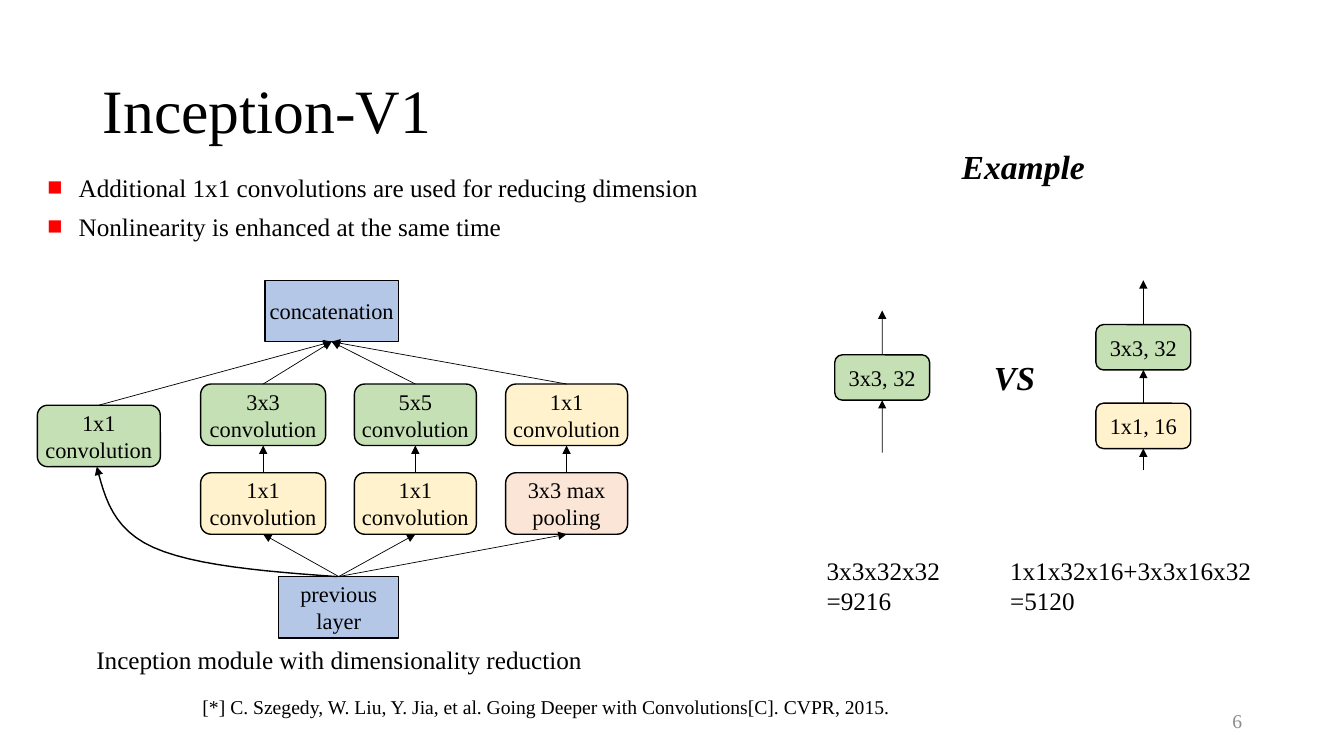
"""Build the Inception-V1 slide: module diagram, bullets and a cost example."""
from lxml.etree import SubElement
from pptx import Presentation
from pptx.dml.color import RGBColor
from pptx.enum.shapes import MSO_CONNECTOR, MSO_SHAPE
from pptx.enum.text import MSO_ANCHOR, MSO_AUTO_SIZE, PP_ALIGN
from pptx.oxml.ns import qn
from pptx.util import Inches, Pt

FONT = "Times New Roman"
BLACK = RGBColor(0x00, 0x00, 0x00)
GREY = RGBColor(0x8C, 0x8C, 0x8C)
BLUE = RGBColor(0xB4, 0xC7, 0xE7)
GREEN = RGBColor(0xC5, 0xE0, 0xB4)
YELLOW = RGBColor(0xFF, 0xF2, 0xCC)
PEACH = RGBColor(0xFB, 0xE5, 0xD6)
BULLET_RED = "FF0000"

TITLE = "Inception-V1"
BULLETS = [
    "Additional 1x1 convolutions are used for reducing dimension",
    "Nonlinearity is enhanced at the same time",
]

COLUMNS = [0.98, 2.61, 4.12, 5.62]
ROWS = {"concat": 2.78, "convolve": 3.81, "direct": 4.02, "reduce": 4.69, "input": 5.72}
SINGLE, STACKED = 8.75, 11.34
LAYER, STEP = 0.61, 0.45
ROUND, SQUARE = MSO_SHAPE.ROUNDED_RECTANGLE, MSO_SHAPE.RECTANGLE

# name: (text, centre, top, width, height, fill, shape)
BOXES = {
    "previous": ("previous layer", 3.36, ROWS["input"], 1.19, LAYER, BLUE, SQUARE),
    "reduce 3x3": ("1x1 convolution", COLUMNS[1], ROWS["reduce"], 1.24, LAYER, YELLOW, ROUND),
    "reduce 5x5": ("1x1 convolution", COLUMNS[2], ROWS["reduce"], 1.21, LAYER, YELLOW, ROUND),
    "pool": ("3x3 max pooling", COLUMNS[3], ROWS["reduce"], 1.21, LAYER, PEACH, ROUND),
    "project": ("1x1 convolution", COLUMNS[3], ROWS["convolve"], 1.21, LAYER, YELLOW, ROUND),
    "5x5": ("5x5 convolution", COLUMNS[2], ROWS["convolve"], 1.21, LAYER, GREEN, ROUND),
    "3x3": ("3x3 convolution", COLUMNS[1], ROWS["convolve"], 1.24, LAYER, GREEN, ROUND),
    "1x1": ("1x1 convolution", COLUMNS[0], ROWS["direct"], 1.22, LAYER, GREEN, ROUND),
    "concat": ("concatenation", 3.29, ROWS["concat"], 1.32, LAYER, BLUE, SQUARE),
    "single": ("3x3, 32", SINGLE, 3.52, 0.94, STEP, GREEN, ROUND),
    "upper": ("3x3, 32", STACKED, 3.22, 0.94, STEP, GREEN, ROUND),
    "lower": ("1x1, 16", STACKED, 4.0, 0.94, STEP, YELLOW, ROUND),
}
# An end is a box name or a free point
ARROWS = [
    ("previous", "reduce 3x3"), ("previous", "reduce 5x5"), ("previous", "pool"),
    ("reduce 3x3", "3x3"), ("reduce 5x5", "5x5"), ("pool", "project"),
    ("3x3", "concat"), ("5x5", "concat"), ("project", "concat"), ("1x1", "concat"),
    ((SINGLE, 4.49), "single"), ("single", (SINGLE, 3.08)),
    ((STACKED, 4.66), "lower"), ("lower", "upper"), ("upper", (STACKED, 2.78)),
]
BYPASS = [
    [(3.34, 5.72), (2.63, 5.67), (1.92, 5.61), (1.52, 5.43)],
    [(1.52, 5.43), (1.12, 5.25), (1.04, 4.94), (0.96, 4.63)],
]
CURVE_STEPS = 12

# (lines, (left, top, width, height), size, colour, alignment, emphasis, wrap)
LABELS = [
    (["6"], (9.42, 6.95, 3, 0.4), 14, GREY, PP_ALIGN.RIGHT, False, True),
    (["Inception module with dimensionality reduction"],
     (0.58, 6.34, 5.57, 0.4), 18, BLACK, PP_ALIGN.CENTER, False, True),
    (["[*] C. Szegedy, W. Liu, Y. Jia, et al. Going Deeper with Convolutions[C]. CVPR, 2015."],
     (1.91, 6.84, 8.58, 0.34), 14, BLACK, PP_ALIGN.LEFT, False, True),
    (["Example"], (9.44, 1.4, 1.43, 0.5), 24, BLACK, PP_ALIGN.LEFT, True, False),
    (["VS"], (9.76, 3.49, 0.61, 0.5), 24, BLACK, PP_ALIGN.LEFT, True, False),
    (["3x3x32x32", "=9216"], (8.1, 5.46, 1.34, 0.71), 18, BLACK, PP_ALIGN.LEFT, False, False),
    (["1x1x32x16+3x3x16x32", "=5120"],
     (9.92, 5.46, 2.62, 0.71), 18, BLACK, PP_ALIGN.LEFT, False, False),
]


def place(shape, left, top, width, height):
    shape.left, shape.top = Inches(left), Inches(top)
    shape.width, shape.height = Inches(width), Inches(height)


def write(frame, lines, size, color=BLACK, align=PP_ALIGN.LEFT, emphasis=False):
    for index, line in enumerate(lines):
        para = frame.paragraphs[0] if index == 0 else frame.add_paragraph()
        para.alignment = align
        span = para.add_run()
        span.text = line
        span.font.name, span.font.size = FONT, Pt(size)
        span.font.color.rgb = color
        span.font.bold = span.font.italic = emphasis


def add_arrowhead(shape):
    line = shape.line._get_or_add_ln()
    SubElement(line, qn("a:tailEnd"), type="triangle")


def add_box(page, text, centre, top, width, height, fill, kind):
    box = page.shapes.add_shape(kind, Inches(centre - width / 2), Inches(top),
                                Inches(width), Inches(height))
    box.shadow.inherit = False
    box.fill.solid()
    box.fill.fore_color.rgb = fill
    box.line.color.rgb, box.line.width = BLACK, Pt(1)
    frame = box.text_frame
    frame.word_wrap = True
    frame.margin_left = frame.margin_right = 0
    frame.vertical_anchor = MSO_ANCHOR.MIDDLE
    write(frame, [text], 16, align=PP_ALIGN.CENTER)
    return box


def add_arrow(page, boxes, start, end):
    free = [point for point in (start, end) if isinstance(point, tuple)]
    x, y = free[0] if free else (0, 0)
    arrow = page.shapes.add_connector(MSO_CONNECTOR.STRAIGHT, Inches(x), Inches(y),
                                      Inches(x), Inches(y))
    if start in boxes:
        arrow.begin_connect(boxes[start], 0)
    if end in boxes:
        arrow.end_connect(boxes[end], 2)
    arrow.line.color.rgb, arrow.line.width = BLACK, Pt(0.5)
    add_arrowhead(arrow)
    SubElement(arrow._element.spPr, qn("a:effectLst"))


def curve_point(controls, share):
    rest = 1 - share
    weights = (rest ** 3, 3 * rest ** 2 * share, 3 * rest * share ** 2, share ** 3)
    return tuple(Inches(sum(weight * point[axis] for weight, point in zip(weights, controls)))
                 for axis in (0, 1))


def add_bypass(page):
    points = [curve_point(controls, step / CURVE_STEPS)
              for controls in BYPASS for step in range(1, CURVE_STEPS + 1)]
    builder = page.shapes.build_freeform(*curve_point(BYPASS[0], 0))
    builder.add_line_segments(points, close=False)
    curve = builder.convert_to_shape()
    curve.shadow.inherit = False
    curve.fill.background()
    curve.line.color.rgb, curve.line.width = BLACK, Pt(1)
    add_arrowhead(curve)


def add_title_and_bullets(page):
    title, body = page.placeholders
    place(title, 0.92, 0.4, 11.5, 1.45)
    title.text_frame.auto_size = MSO_AUTO_SIZE.NONE
    title.text_frame.vertical_anchor = MSO_ANCHOR.MIDDLE
    write(title.text_frame, [TITLE], 44)
    title.text_frame.paragraphs[0].line_spacing = 0.9

    place(body, 0.37, 1.66, 6.99, 0.79)
    body.text_frame.auto_size = MSO_AUTO_SIZE.NONE
    write(body.text_frame, BULLETS, 18)
    for para in body.text_frame.paragraphs:
        para.space_before, para.space_after = Pt(0), Pt(6)
        layout = para._p.get_or_add_pPr()
        layout.set("marL", str(Inches(0.31)))
        layout.set("indent", str(-Inches(0.31)))
        color = SubElement(layout, qn("a:buClr"))
        SubElement(color, qn("a:srgbClr"), val=BULLET_RED)
        SubElement(layout, qn("a:buFont"), typeface=FONT)
        SubElement(layout, qn("a:buChar"), char="■")


def main():
    deck = Presentation()
    deck.slide_width, deck.slide_height = Inches(13.33), Inches(7.5)
    page = deck.slides.add_slide(deck.slide_layouts[1])
    add_title_and_bullets(page)
    boxes = {name: add_box(page, *details) for name, details in BOXES.items()}
    for start, end in ARROWS:
        add_arrow(page, boxes, start, end)
    add_bypass(page)
    for lines, area, size, color, align, emphasis, wrap in LABELS:
        label = page.shapes.add_textbox(*map(Inches, area))
        label.text_frame.word_wrap = wrap
        label.text_frame.vertical_anchor = MSO_ANCHOR.MIDDLE if color == GREY else MSO_ANCHOR.TOP
        write(label.text_frame, lines, size, color, align, emphasis)
    deck.save("out.pptx")


if __name__ == "__main__":
    main()
